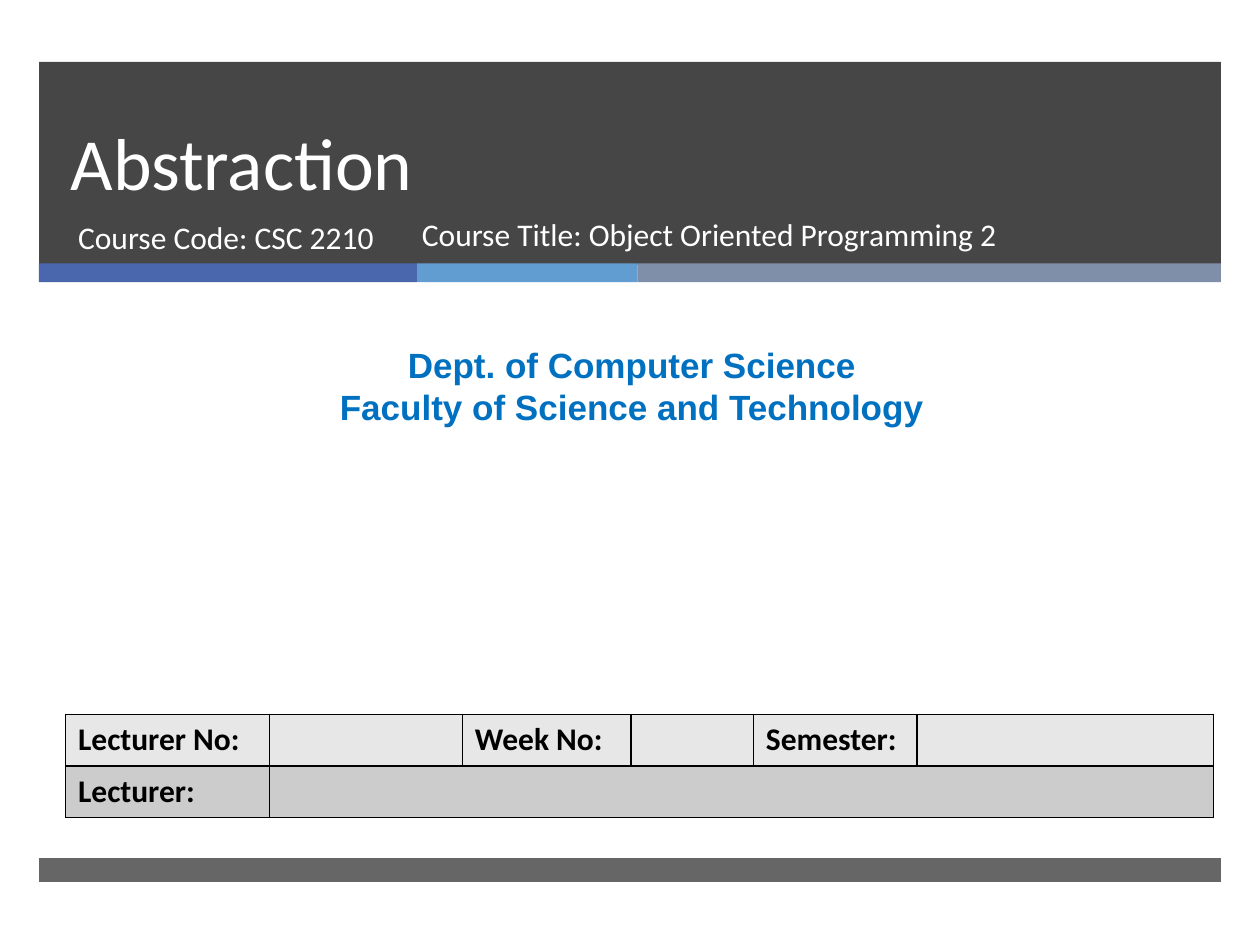
from dataclasses import dataclass

from lxml.etree import SubElement
from pptx import Presentation
from pptx.dml.color import RGBColor
from pptx.enum.shapes import MSO_SHAPE
from pptx.enum.text import MSO_ANCHOR, MSO_AUTO_SIZE, PP_ALIGN
from pptx.oxml.ns import qn
from pptx.util import Inches, Pt

WHITE = RGBColor(0xFF, 0xFF, 0xFF)
BLACK = RGBColor(0x00, 0x00, 0x00)
CHARCOAL = RGBColor(0x26, 0x26, 0x26)
INDIGO = RGBColor(0x4A, 0x66, 0xAC)
SKY = RGBColor(0x62, 0x9D, 0xD1)
SLATE = RGBColor(0x7F, 0x8F, 0xA9)
DEPT_BLUE = RGBColor(0x00, 0x70, 0xC0)
ROW_FILLS = (RGBColor(0xE7, 0xE7, 0xE7), RGBColor(0xCC, 0xCC, 0xCC))


@dataclass
class Band:
    left: float
    top: float
    width: float
    height: float
    color: RGBColor
    opacity: int = 100


@dataclass
class Style:
    size: int
    color: RGBColor
    font: str = "Calibri"
    bold: bool = False
    align: PP_ALIGN = PP_ALIGN.LEFT


BANDS = [
    Band(0.31, 0.49, 9.38, 1.61, CHARCOAL, 85),
    Band(0.31, 2.09, 3, 0.15, INDIGO),
    Band(3.31, 2.09, 1.75, 0.15, SKY),
    Band(5.06, 2.09, 4.63, 0.15, SLATE),
    Band(0.31, 6.81, 9.38, 0.19, CHARCOAL, 70),
]
TITLE = Style(42, WHITE)
COURSE = Style(18, WHITE)
DEPARTMENT = Style(20, DEPT_BLUE, "Arial", True, PP_ALIGN.CENTER)
LABEL = Style(18, BLACK, bold=True)

COLUMN_WIDTHS = (1.62, 1.53, 1.34, 0.97, 1.3, 2.35)
ROW_HEIGHT = 0.41
ROWS = (
    ("Lecturer No:", "", "Week No:", "", "Semester:", ""),
    ("Lecturer:", "", "", "", "", ""),
)


def add_band(slide, band: Band):
    sp = slide.shapes.add_shape(
        MSO_SHAPE.RECTANGLE, Inches(band.left), Inches(band.top),
        Inches(band.width), Inches(band.height))
    sp.shadow.inherit = False
    sp.line.fill.background()
    sp.fill.solid()
    sp.fill.fore_color.rgb = band.color
    if band.opacity < 100:
        color = sp.element.spPr.find(qn("a:solidFill"))[0]
        SubElement(color, qn("a:alpha"), val=str(band.opacity * 1000))
    return sp


def write(tf, lines: list[str], style: Style) -> None:
    for i, line in enumerate(lines):
        p = tf.paragraphs[0] if i == 0 else tf.add_paragraph()
        p.alignment = style.align
        p.space_before = Pt(0)
        r = p.add_run()
        r.text = line
        r.font.size = Pt(style.size)
        r.font.name = style.font
        r.font.bold = style.bold
        r.font.color.rgb = style.color


def fill_frame(sp, box: tuple[float, ...], lines: list[str], style: Style,
               anchor: MSO_ANCHOR = MSO_ANCHOR.TOP) -> None:
    """Place a text shape and write its lines."""
    sp.left, sp.top, sp.width, sp.height = map(Inches, box)
    tf = sp.text_frame
    tf.word_wrap = True
    tf.auto_size = MSO_AUTO_SIZE.NONE
    tf.vertical_anchor = anchor
    write(tf, lines, style)


def add_text(slide, box: tuple[float, ...], lines: list[str], style: Style) -> None:
    fill_frame(slide.shapes.add_textbox(0, 0, 0, 0), box, lines, style)


def set_borders(cell) -> None:
    """Draw thin black edges, placed ahead of the cell fill as the schema asks."""
    tc_pr = cell._tc.get_or_add_tcPr()
    for i, side in enumerate(("lnL", "lnR", "lnT", "lnB")):
        ln = SubElement(tc_pr, qn(f"a:{side}"), w=str(Pt(1)))
        fill = SubElement(ln, qn("a:solidFill"))
        SubElement(fill, qn("a:srgbClr"), val=str(BLACK))
        tc_pr.insert(i, ln)


def add_lecture_table(slide, left: float, top: float) -> None:
    table = slide.shapes.add_table(
        len(ROWS), len(COLUMN_WIDTHS), Inches(left), Inches(top),
        Inches(sum(COLUMN_WIDTHS)), Inches(ROW_HEIGHT * len(ROWS))).table
    for column, width in zip(table.columns, COLUMN_WIDTHS):
        column.width = Inches(width)
    for i, (labels, color) in enumerate(zip(ROWS, ROW_FILLS)):
        table.rows[i].height = Inches(ROW_HEIGHT)
        for j, label in enumerate(labels):
            cell = table.cell(i, j)
            cell.fill.solid()
            cell.fill.fore_color.rgb = color
            set_borders(cell)
            if label:
                write(cell.text_frame, [label], LABEL)
    table.cell(1, 1).merge(table.cell(1, len(COLUMN_WIDTHS) - 1))


def main() -> None:
    prs = Presentation()
    prs.slide_width, prs.slide_height = Inches(10), Inches(7.5)
    slide = prs.slides.add_slide(prs.slide_layouts[0])
    title, subtitle = slide.placeholders

    for band in BANDS:
        title.element.addprevious(add_band(slide, band).element)

    fill_frame(title, (0.46, 0.49, 8.54, 1.19), ["Abstraction"], TITLE,
               MSO_ANCHOR.BOTTOM)
    title.text_frame.paragraphs[0].line_spacing = Pt(46)
    fill_frame(subtitle, (0.52, 1.68, 3.05, 0.53), ["Course Code: CSC 2210"], COURSE)
    add_text(slide, (0.08, 2.68, 9.87, 0.77),
             ["Dept. of Computer Science", "Faculty of Science and Technology"],
             DEPARTMENT)
    add_lecture_table(slide, 0.52, 5.67)
    add_text(slide, (3.25, 1.66, 5.11, 0.53),
             ["Course Title: Object Oriented Programming 2"], COURSE)
    prs.save("out.pptx")


if __name__ == "__main__":
    main()
